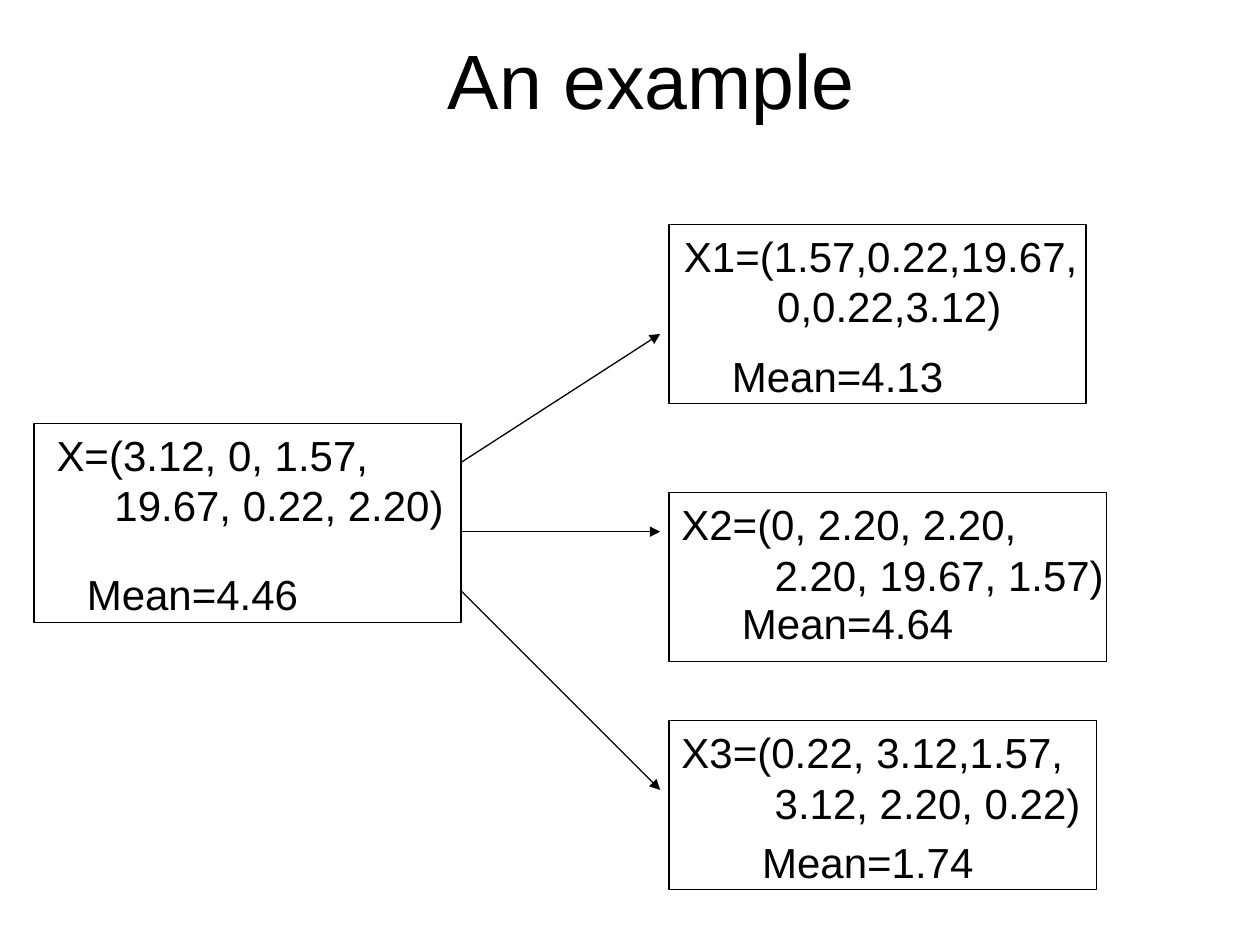
import dataclasses

import lxml.etree
import pptx
import pptx.dml.color
import pptx.enum.shapes
import pptx.enum.text
import pptx.oxml.ns
import pptx.util


@dataclasses.dataclass(frozen=True)
class Theme:
    font: str = "Arial"
    ink: pptx.dml.color.RGBColor = pptx.dml.color.RGBColor(0, 0, 0)
    title_size: int = 44
    body_size: int = 24
    line_width: float = 0.75


@dataclasses.dataclass(frozen=True)
class Sample:
    """Positions are in grid units; the mean is placed relative to the box."""
    left: float
    top: float
    width: float
    height: float
    lines: tuple
    mean: str
    mean_offset: tuple
    indent: float = 7.4
    text_shift: float = 0


THEME = Theme()
COLUMNS, ROWS = 100, 75
UNIT = pptx.util.Inches(0.1)
VECTOR_HEIGHT, MEAN_WIDTH, MEAN_HEIGHT = 9, 18.8, 5

ORIGINAL_SAMPLE = Sample(2.7, 33.6, 33.9, 15.8,
                         ("X=(3.12, 0, 1.57,", "19.67, 0.22, 2.20)"),
                         "Mean=4.46", (3.2, 11), 4.6, 0.8)
RESAMPLES = (
    Sample(53.1, 17.8, 33.1, 14.2, ("X1=(1.57,0.22,19.67,", "0,0.22,3.12)"),
           "Mean=4.13", (4, 9.5), text_shift=0.2),
    Sample(53.1, 39.1, 34.7, 13.4, ("X2=(0, 2.20, 2.20,", "2.20, 19.67, 1.57)"),
           "Mean=4.64", (4.8, 7.8)),
    Sample(53.1, 57.2, 33.9, 13.4, ("X3=(0.22, 3.12,1.57,", "3.12, 2.20, 0.22)"),
           "Mean=1.74", (6.4, 8.7)),
)
ARROW_ROWS = ((36.7, 26.5), (42.2, 42.2), (46.9, 62.7))
ARROW_END = 52.4


def grid(*units):
    return [round(unit * UNIT) for unit in units]


def add_text(shapes, box, lines, size, indent=0, centred=False):
    """Add a text box whose lines after the first are indented."""
    frame = shapes.add_textbox(*grid(*box)).text_frame
    frame.word_wrap = True
    if centred:
        frame.vertical_anchor = pptx.enum.text.MSO_ANCHOR.MIDDLE
    else:
        frame.margin_right = 0
    for index, line in enumerate(lines):
        paragraph = frame.add_paragraph() if index else frame.paragraphs[0]
        if centred:
            paragraph.alignment = pptx.enum.text.PP_ALIGN.CENTER
        if index:
            paragraph._p.get_or_add_pPr().set("marL", str(grid(indent)[0]))
        run = paragraph.add_run()
        run.text = line
        run.font.name = THEME.font
        run.font.size = pptx.util.Pt(size)
        run.font.color.rgb = THEME.ink


def style_line(line):
    line.color.rgb = THEME.ink
    line.width = pptx.util.Pt(THEME.line_width)


def add_sample(slide, sample):
    """Group a sample's values, its mean and the frame around them."""
    shapes = slide.shapes.add_group_shape().shapes
    text_left = sample.left + sample.text_shift
    text_width = sample.width - sample.text_shift + 1
    add_text(shapes, (text_left, sample.top, text_width, VECTOR_HEIGHT),
             sample.lines, THEME.body_size, sample.indent)
    mean_left, mean_top = sample.mean_offset
    add_text(shapes, (sample.left + mean_left, sample.top + mean_top,
                      MEAN_WIDTH, MEAN_HEIGHT),
             (sample.mean,), THEME.body_size)
    frame = shapes.add_shape(
        pptx.enum.shapes.MSO_SHAPE.RECTANGLE,
        *grid(sample.left, sample.top, sample.width, sample.height))
    frame.shadow.inherit = False
    frame.fill.background()
    style_line(frame.line)


def add_arrow(slide, start, end):
    connector = slide.shapes.add_connector(
        pptx.enum.shapes.MSO_CONNECTOR.STRAIGHT, *grid(*start, *end))
    style_line(connector.line)
    qualified = pptx.oxml.ns.qn
    lxml.etree.SubElement(connector.line._get_or_add_ln(),
                          qualified("a:tailEnd"), type="triangle")
    lxml.etree.SubElement(connector._element.spPr, qualified("a:effectLst"))


def main():
    presentation = pptx.Presentation()
    presentation.slide_width, presentation.slide_height = grid(COLUMNS, ROWS)
    slide = presentation.slides.add_slide(presentation.slide_layouts[6])

    add_text(slide.shapes, (6.7, 0, 90, 12.5), ("An example",),
             THEME.title_size, centred=True)
    for sample in (ORIGINAL_SAMPLE, *RESAMPLES):
        add_sample(slide, sample)
    arrow_start = ORIGINAL_SAMPLE.left + ORIGINAL_SAMPLE.width
    for start_row, end_row in ARROW_ROWS:
        add_arrow(slide, (arrow_start, start_row), (ARROW_END, end_row))

    presentation.save("out.pptx")


if __name__ == "__main__":
    main()
